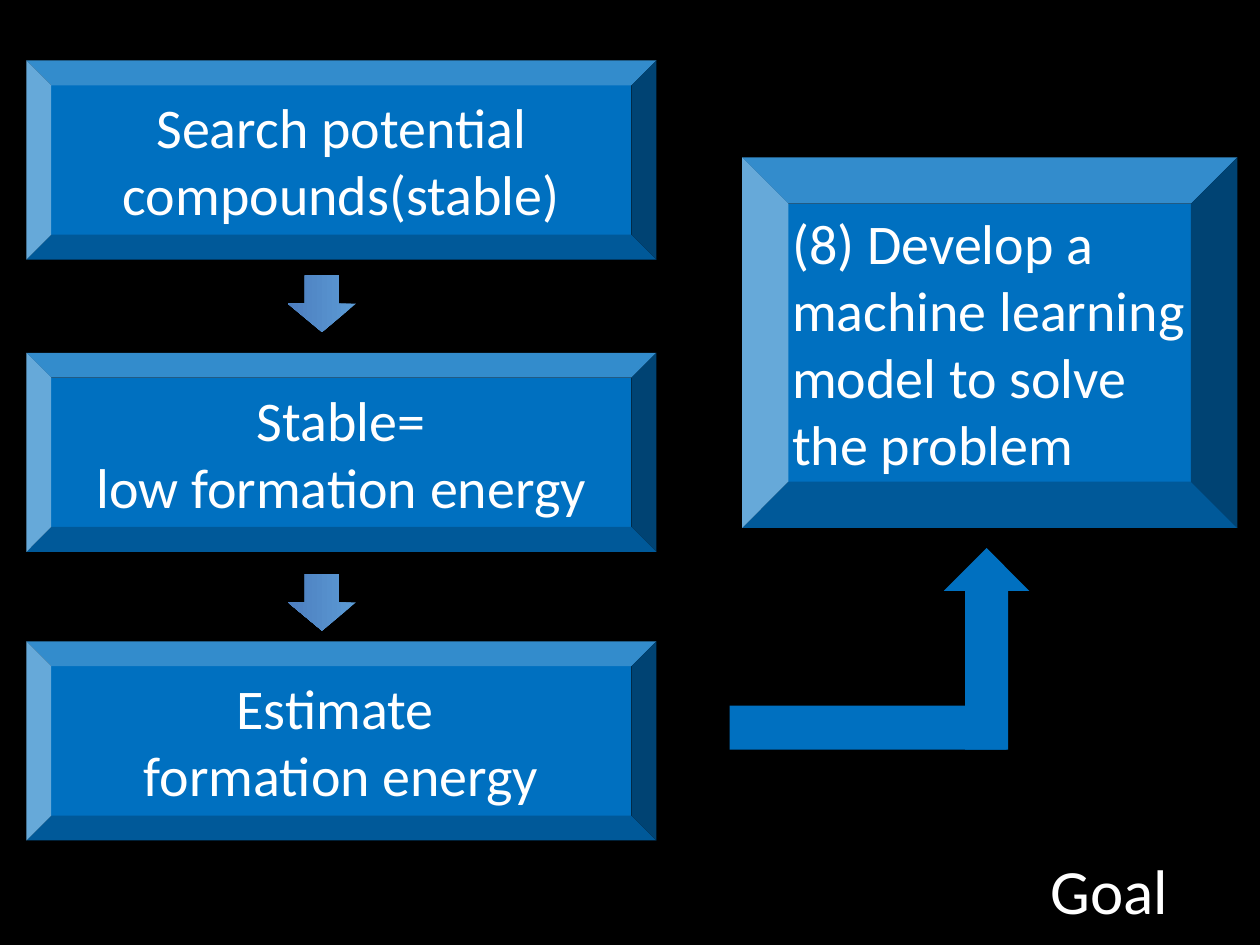
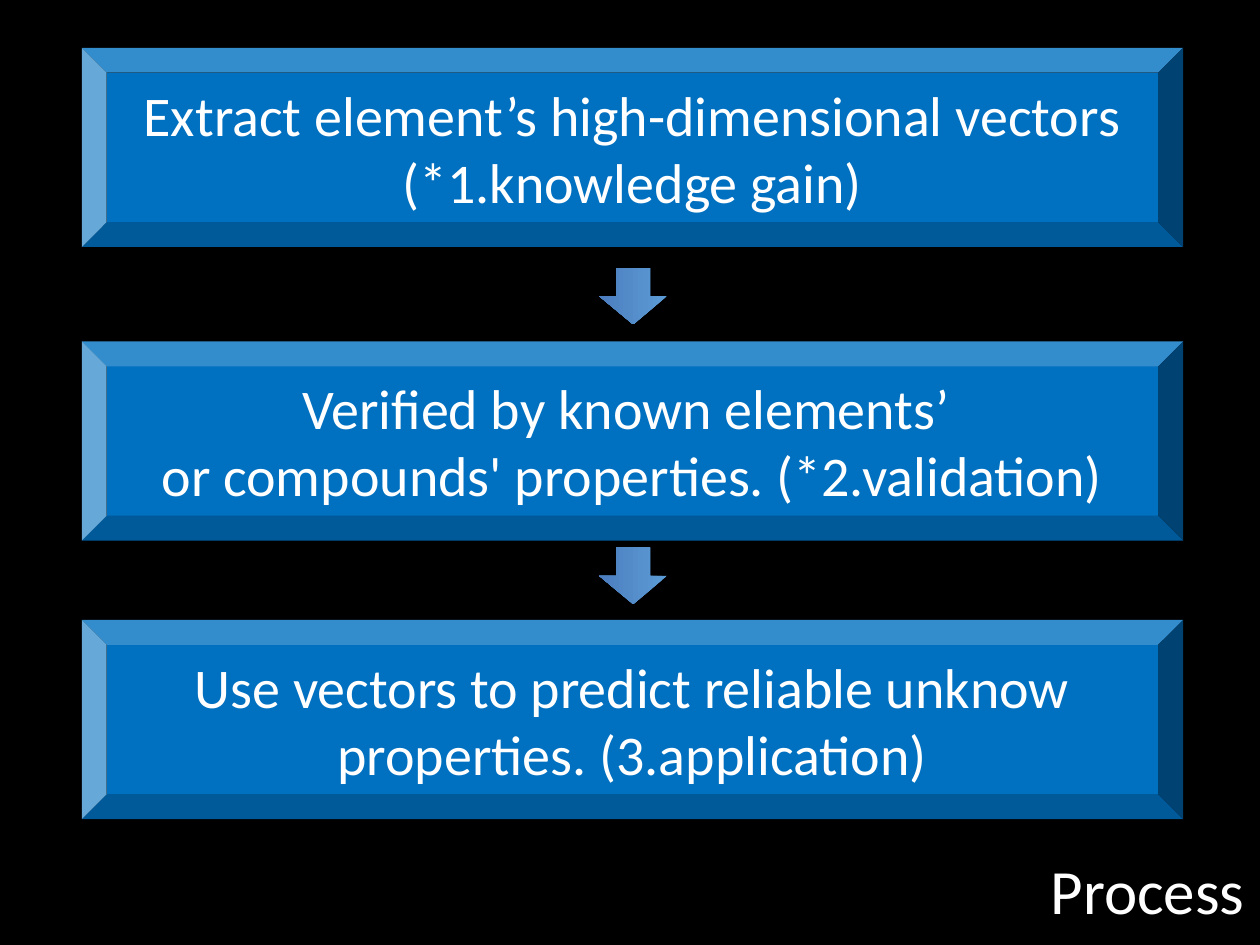
from dataclasses import dataclass

from pptx import Presentation
from pptx.dml.color import RGBColor
from pptx.enum.shapes import MSO_SHAPE
from pptx.enum.text import MSO_ANCHOR, MSO_AUTO_SIZE, PP_ALIGN
from pptx.util import Inches, Pt

BEVEL, RECTANGLE = MSO_SHAPE.BEVEL, MSO_SHAPE.RECTANGLE
RIGHT_ARROW, DOWN_ARROW = MSO_SHAPE.RIGHT_ARROW, MSO_SHAPE.DOWN_ARROW
LEFT, CENTER = PP_ALIGN.LEFT, PP_ALIGN.CENTER
TOP, MIDDLE = MSO_ANCHOR.TOP, MSO_ANCHOR.MIDDLE
GROW = MSO_AUTO_SIZE.SHAPE_TO_FIT_TEXT

BLACK = RGBColor(0x00, 0x00, 0x00)
WHITE = RGBColor(0xFF, 0xFF, 0xFF)
BLUE = RGBColor(0x00, 0x70, 0xC0)
ARROW_LIGHT = RGBColor(0x5B, 0x9B, 0xD5)
ARROW_DARK = RGBColor(0x4D, 0x7E, 0xBF)

FONT = "Calibri"
STEP_HEIGHT = 1.58
ARROW_LENGTH, ARROW_WIDTH = 0.45, 0.54


@dataclass
class Box:
    left: float
    top: float
    width: float
    height: float

    def lengths(self):
        return [Inches(n) for n in (self.left, self.top, self.width, self.height)]


@dataclass
class Step:
    top: float
    lines: list[str]


@dataclass
class Flow:
    """A column of steps with small arrows between them."""
    left: float
    width: float
    steps: list[Step]
    arrow_left: float
    arrow_tops: list[float]


GOAL_FLOW = Flow(0.21, 5, [
    Step(0.48, ["Search potential compounds(stable)"]),
    Step(2.8, ["Stable=", "low formation energy"]),
    Step(5.09, ["Estimate ", "formation energy"]),
], 2.33, [2.14, 4.51])

PROCESS_FLOW = Flow(0.65, 8.74, [
    Step(0.38, ["Extract element’s high-dimensional vectors (*1.knowledge gain)"]),
    Step(2.71, ["Verified by known elements’ ",
                "or compounds' properties. (*2.validation)"]),
    Step(4.92, ["Use vectors to predict reliable unknow properties. (3.application)"]),
], 4.8, [2.08, 4.3])


def write_text(shape, lines: list[str], *, size=32, align=LEFT, anchor=TOP,
               margins=(0.1, 0.05)) -> None:
    frame = shape.text_frame
    frame.word_wrap = True
    frame.auto_size = GROW
    frame.vertical_anchor = anchor
    frame.margin_left = frame.margin_right = Inches(margins[0])
    frame.margin_top = frame.margin_bottom = Inches(margins[1])
    for index, line in enumerate(lines):
        paragraph = frame.add_paragraph() if index else frame.paragraphs[0]
        paragraph.alignment = align
        run = paragraph.add_run()
        run.text = line
        run.font.name = FONT
        run.font.size = Pt(size)
        run.font.color.rgb = WHITE


def add_block(slide, kind, box: Box, rotation=0):
    shape = slide.shapes.add_shape(kind, *box.lengths())
    shape.shadow.inherit = False
    shape.fill.solid()
    shape.fill.fore_color.rgb = BLUE
    shape.line.fill.background()
    shape.rotation = rotation
    return shape


def add_panel(slide, box: Box, lines: list[str], *, align, margin) -> None:
    panel = add_block(slide, BEVEL, box)
    write_text(panel, lines, align=align, anchor=MIDDLE, margins=(margin, margin))


def add_step_arrow(slide, left: float, top: float) -> None:
    box = Box(left, top, ARROW_LENGTH, ARROW_WIDTH)
    fill = add_block(slide, RIGHT_ARROW, box, rotation=90).fill
    fill.gradient()
    fill.gradient_angle = 270
    for stop, color in zip(fill.gradient_stops, (ARROW_LIGHT, ARROW_DARK)):
        stop.color.rgb = color


def add_flow(slide, flow: Flow) -> None:
    for step in flow.steps:
        box = Box(flow.left, step.top, flow.width, STEP_HEIGHT)
        add_panel(slide, box, step.lines, align=CENTER, margin=0.06)
    for top in flow.arrow_tops:
        add_step_arrow(slide, flow.arrow_left, top)


def add_flow_slide(presentation, title: str, title_width: float, flow: Flow):
    slide = presentation.slides.add_slide(presentation.slide_layouts[6])
    slide.background.fill.solid()
    slide.background.fill.fore_color.rgb = BLACK
    add_flow(slide, flow)
    title_box = Box(8.24, 6.71, title_width, 0.71)
    write_text(slide.shapes.add_textbox(*title_box.lengths()), [title], size=36)
    return slide


presentation = Presentation()
presentation.slide_width, presentation.slide_height = Inches(10), Inches(7.5)

# Goal: the flow leads through a bent arrow to the model
goal = add_flow_slide(presentation, "Goal", 1.64, GOAL_FLOW)
add_panel(goal, Box(5.89, 1.25, 3.93, 2.94),
          ["(8) Develop a", "machine learning model to solve the problem"],
          align=LEFT, margin=0.03)
add_block(goal, DOWN_ARROW, Box(7.49, 4.35, 0.68, 1.6), rotation=180)
add_block(goal, RECTANGLE, Box(5.79, 5.6, 2.2, 0.35))

# Process: three wide steps
add_flow_slide(presentation, "Process", 1.86, PROCESS_FLOW)

presentation.save("out.pptx")
